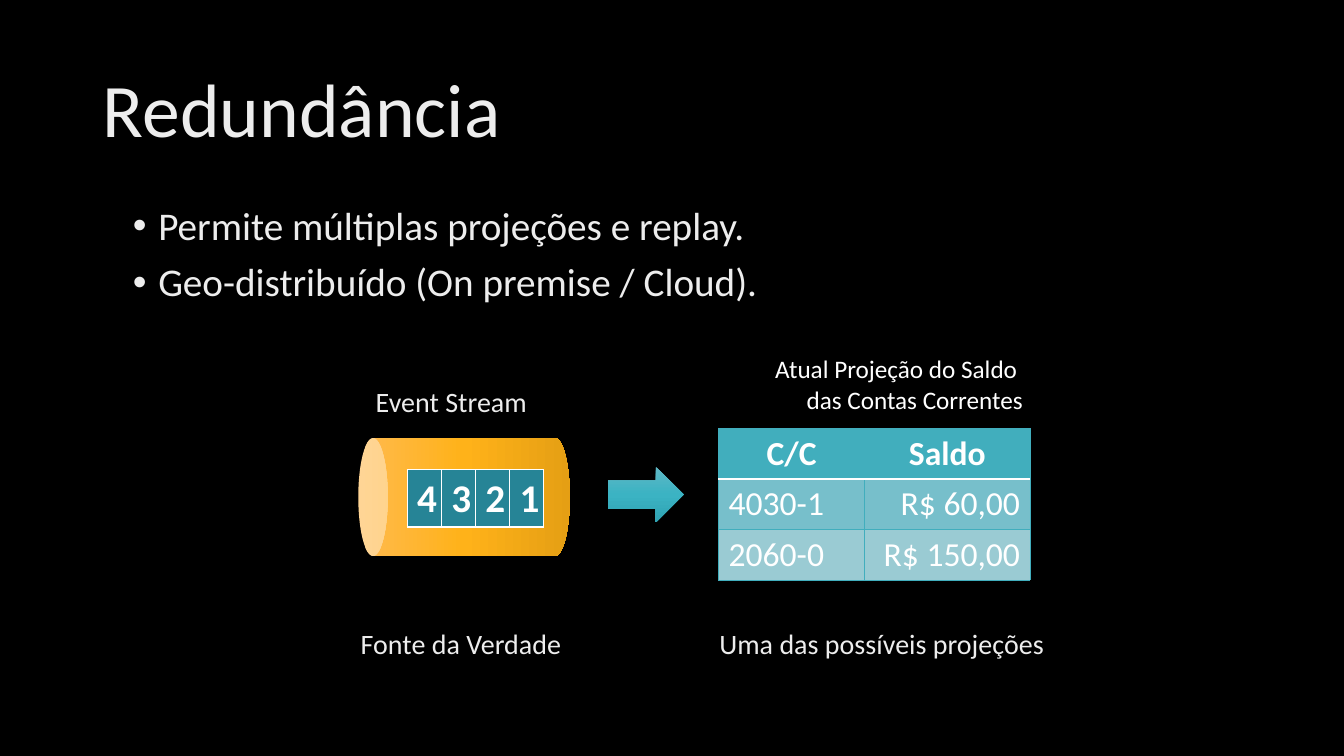
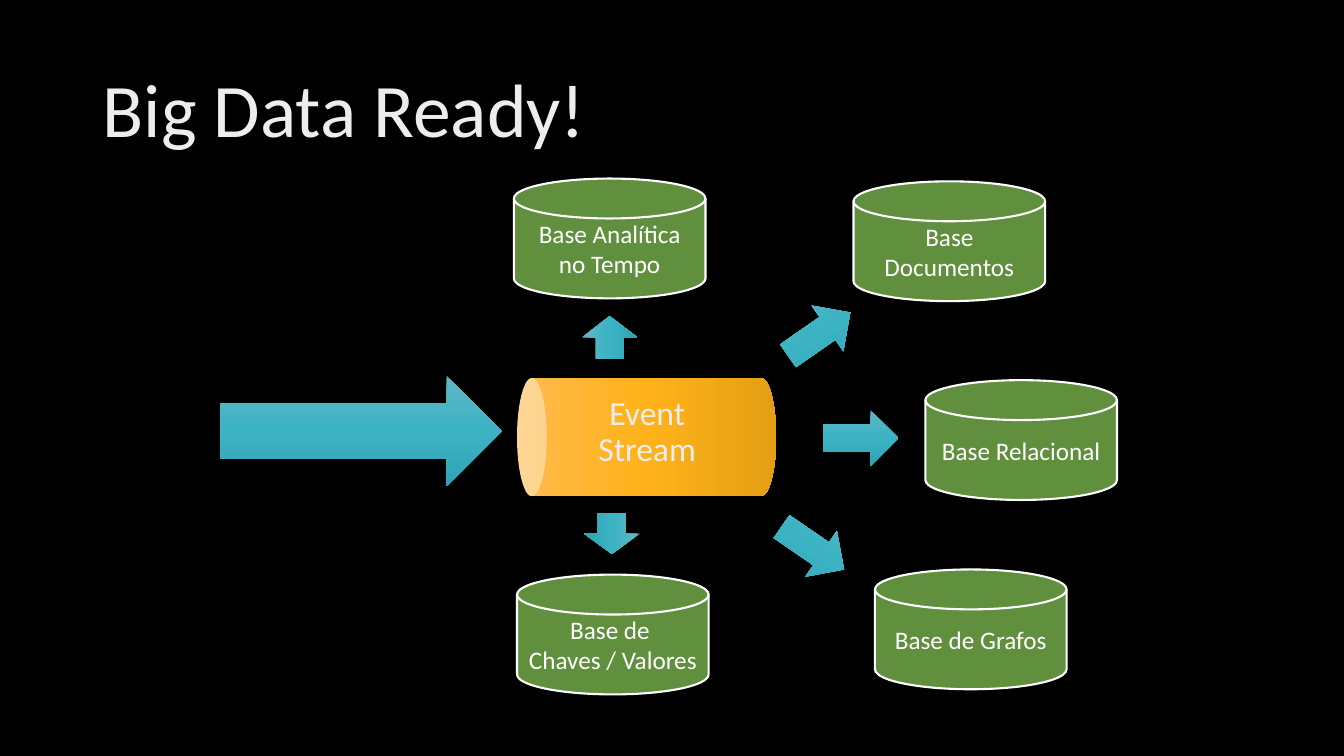
"""Build two slides on event streams and their projections."""
from copy import deepcopy
from dataclasses import dataclass

from pptx import Presentation, oxml
from pptx import util as u
from pptx.dml.color import RGBColor
from pptx.enum import shapes, text
from pptx.oxml import ns


@dataclass(frozen=True)
class Theme:
    """Colours, font and type sizes shared by the slides."""
    font: str = "Calibri"
    background: str = "000000"
    soft: str = "EDEDED"
    white: str = "FFFFFF"
    teal: str = "41AEBD"
    event: str = "268496"
    database: str = "608F3D"
    balance_rows: tuple = ("77BFCB", "9ACBD3")
    stream_blend: tuple = ("FFBA4F", "FFB219", "E59F14")
    arrow_blend: tuple = ("5FB7C5", "3BB3C3", "2FA3B3")
    title: int = 54
    large: int = 28
    medium: int = 24
    caption: int = 20
    label: int = 18


THEME = Theme()
LEFT, CENTER, RIGHT = text.PP_ALIGN.LEFT, text.PP_ALIGN.CENTER, text.PP_ALIGN.RIGHT
TOP, MIDDLE = text.MSO_ANCHOR.TOP, text.MSO_ANCHOR.MIDDLE
ARROW_SIZE = (1.91, 1.4)
DISK_SIZE = (4.83, 3.02)


def cm(*lengths):
    """Convert numbers to centimetre lengths."""
    return [u.Cm(length) for length in lengths]


def write(frame, content, *, size, color=THEME.soft, bold=False, align=LEFT,
          spacing=1.0, before=0, bullet=False):
    """Fill a text frame with one paragraph per item of content."""
    for index, line in enumerate([content] if isinstance(content, str) else content):
        paragraph = frame.add_paragraph() if index else frame.paragraphs[0]
        paragraph.text = line
        paragraph.alignment = align
        paragraph.line_spacing = spacing
        paragraph.space_before = u.Pt(before)
        for run in paragraph.runs:
            run.font.name = THEME.font
            run.font.size = u.Pt(size)
            run.font.bold = bold
            run.font.color.rgb = RGBColor.from_string(color)
        if bullet:
            add_bullet(paragraph)


def add_bullet(paragraph):
    """Give a paragraph a hanging round bullet."""
    properties = paragraph._p.get_or_add_pPr()
    indent = u.Cm(0.64)
    properties.set("marL", str(indent))
    properties.set("indent", str(-indent))
    for tag in ('a:buFont {} typeface="Arial"', 'a:buChar {} char="•"'):
        properties.append(oxml.parse_xml(f"<{tag.format(ns.nsdecls('a'))}/>"))


def add_titled_slide(deck, heading):
    """Add a title-only slide and format its title."""
    slide = deck.slides.add_slide(deck.slide_layouts[5])
    title = slide.shapes.title
    title.left, title.top, title.width, title.height = cm(2.34, 1.02, 29.21, 3.68)
    title.text_frame.auto_size = text.MSO_AUTO_SIZE.NONE
    title.text_frame.vertical_anchor = MIDDLE
    write(title.text_frame, heading, size=THEME.title, spacing=0.9)
    return slide


def add_label(slide, content, box, anchor=TOP, **style):
    """Add a wrapped text box."""
    frame = slide.shapes.add_textbox(*cm(*box)).text_frame
    frame.word_wrap = True
    frame.vertical_anchor = anchor
    write(frame, content, **style)


def add_caption(slide, content, box):
    """Add a one-line caption centred in its height."""
    add_label(slide, content, box, anchor=MIDDLE, size=THEME.caption, spacing=0.9)


def add_blended(slide, kind, box, blend, rotation=0):
    """Add an outline-free shape with a three-colour blend."""
    blended = slide.shapes.add_shape(kind, *cm(*box))
    blended.rotation = rotation
    blended.shadow.inherit = False
    blended.line.fill.background()
    blended.fill.gradient()
    blended.fill.gradient_angle = 270
    stops = blended._element.spPr.find(".//" + ns.qn("a:gsLst"))
    stops.append(deepcopy(stops[0]))
    for stop, position, color in zip(blended.fill.gradient_stops, (0, 0.5, 1), blend):
        stop.position = position
        stop.color.rgb = RGBColor.from_string(color)


def add_stream(slide, box):
    """Add the event stream as a can lying on its side."""
    add_blended(slide, shapes.MSO_SHAPE.CAN, box, THEME.stream_blend, 270)


def add_arrow(slide, left, top, size=ARROW_SIZE, rotation=0):
    """Add a teal block arrow."""
    add_blended(slide, shapes.MSO_SHAPE.RIGHT_ARROW, (left, top, *size),
                THEME.arrow_blend, rotation)


def add_database(slide, content, left, top):
    """Add a labelled database disk."""
    disk = slide.shapes.add_shape(shapes.MSO_SHAPE.FLOWCHART_MAGNETIC_DISK,
                                  *cm(left, top, *DISK_SIZE))
    disk.shadow.inherit = False
    disk.fill.solid()
    disk.fill.fore_color.rgb = RGBColor.from_string(THEME.database)
    disk.line.color.rgb = RGBColor.from_string(THEME.white)
    disk.line.width = u.Pt(1.5)
    disk.text_frame.word_wrap = True
    disk.text_frame.vertical_anchor = MIDDLE
    write(disk.text_frame, content, size=THEME.label, color=THEME.white, align=CENTER)


def add_grid(slide, left, top, widths, row_height, row_count):
    """Add a table without the banded style flags."""
    grid = slide.shapes.add_table(
        row_count, len(widths),
        *cm(left, top, sum(widths), row_height * row_count)).table
    grid.first_row = grid.horz_banding = False
    for column, width in zip(grid.columns, widths):
        column.width = u.Cm(width)
    return grid


def fill_cell(cell, content, fill, borders, **style):
    """Set the borders, fill and text of a cell; borders map L, R, T, B to colour and points."""
    properties = cell._tc.get_or_add_tcPr()
    for side in "LRTB":
        color, points = borders[side]
        properties.append(oxml.parse_xml(
            f'<a:ln{side} {ns.nsdecls("a")} w="{u.Pt(points)}"><a:solidFill>'
            f'<a:srgbClr val="{color}"/></a:solidFill></a:ln{side}>'))
    cell.fill.solid()
    cell.fill.fore_color.rgb = RGBColor.from_string(fill)
    write(cell.text_frame, content, color=THEME.white, **style)


def add_balances(slide):
    """Add the table of account balances."""
    rows = (("C/C", "Saldo"), ("4030-1", "R$ 60,00"), ("2060-0", "R$ 150,00"))
    fills = (THEME.teal, *THEME.balance_rows)
    grid = add_grid(slide, 18.11, 10.8, (3.68, 4.17), 1.21, len(rows))
    thin, header_rule = (THEME.teal, 0.5), (THEME.white, 1)
    for r, (row, fill) in enumerate(zip(rows, fills)):
        borders = dict.fromkeys("LRTB", thin)
        if r < 2:
            borders["BT"[r]] = header_rule
        for c, content in enumerate(row):
            align = CENTER if r == 0 else (LEFT, RIGHT)[c]
            fill_cell(grid.cell(r, c), content, fill, borders,
                      size=THEME.medium, bold=r == 0, align=align)


def add_events(slide):
    """Add the numbered events inside the stream."""
    events = "4321"
    grid = add_grid(slide, 10.26, 11.84, [0.86] * len(events), 1.37, 1)
    borders = dict.fromkeys("LRTB", (THEME.white, 1))
    for c, event in enumerate(events):
        fill_cell(grid.cell(0, c), event, THEME.event, borders,
                  size=THEME.large, bold=True)


def build_redundancy(deck):
    """Build the slide on redundancy."""
    slide = add_titled_slide(deck, "Redundância")
    add_label(slide, ("Permite múltiplas projeções e replay.",
                      "Geo-distribuído (On premise / Cloud)."),
              (3.1, 5.08, 28.42, 12.09), size=THEME.large, spacing=0.9,
              before=10, bullet=True)
    add_stream(slide, (10.21, 9.86, 2.97, 5.33))
    add_balances(slide)
    add_events(slide)
    add_label(slide, "Atual Projeção do Saldo \vdas Contas Correntes",
              (17.5, 8.79, 8.53, 1.8), size=THEME.label, color=THEME.white, align=RIGHT)
    add_arrow(slide, 15.32, 11.76)
    add_caption(slide, "Event Stream", (9.22, 9.04, 4.52, 2.24))
    add_caption(slide, "Fonte da Verdade", (8.84, 15.14, 5.74, 2.24))
    add_caption(slide, "Uma das possíveis projeções", (17.88, 15.14, 9.5, 2.24))


def build_big_data(deck):
    """Build the slide on the databases fed by the stream."""
    slide = add_titled_slide(deck, "Big Data Ready!")
    add_stream(slide, (14.81, 7.75, 2.97, 6.53))
    add_label(slide, "Event Stream", (14.05, 9.86, 4.52, 2.24),
              size=THEME.medium, align=CENTER, spacing=0.9)
    for database in (("Base Relacional", 23.32, 9.58),
                     ("Base de Grafos", 22.05, 14.35),
                     ("Base de \vChaves / Valores", 13.03, 14.48),
                     ("Base Analítica no Tempo", 12.95, 4.5),
                     ("Base Documentos", 21.51, 4.57)):
        add_database(slide, *database)
    for arrow in ((19.53, 13.11, ARROW_SIZE, 34.5),
                  (19.69, 7.72, ARROW_SIZE, 325.2),
                  (14.83, 7.8, (1.07, 1.4), 270),
                  (14.91, 12.75, (1.02, 1.4), 90),
                  (20.73, 10.34),
                  (5.54, 9.47, (7.11, 2.79))):
        add_arrow(slide, *arrow)


def main():
    """Build and save the presentation."""
    deck = Presentation()
    deck.slide_width, deck.slide_height = cm(33.87, 19.05)
    backdrop = deck.slide_master.background.fill
    backdrop.solid()
    backdrop.fore_color.rgb = RGBColor.from_string(THEME.background)
    build_redundancy(deck)
    build_big_data(deck)
    deck.save("out.pptx")


main()
